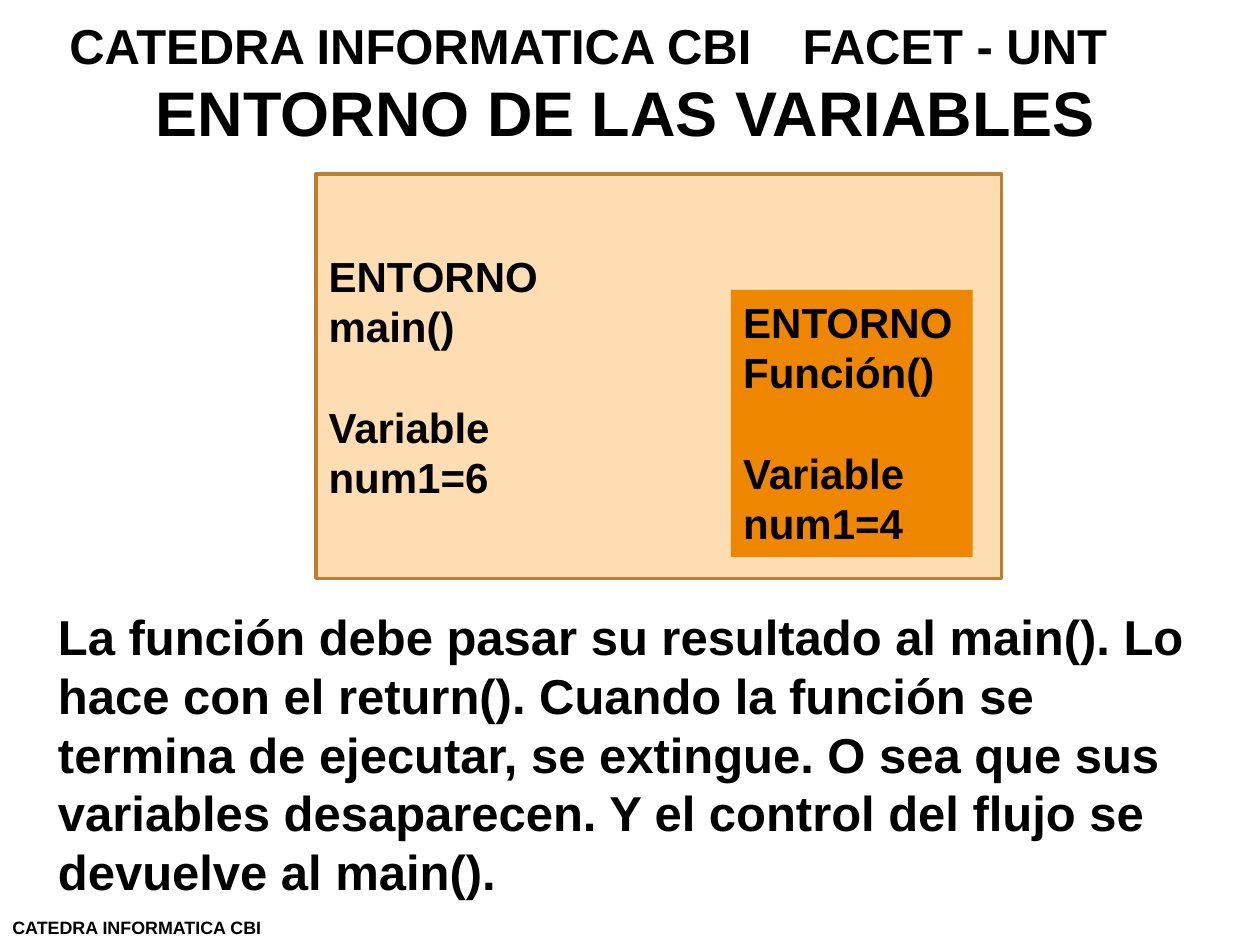
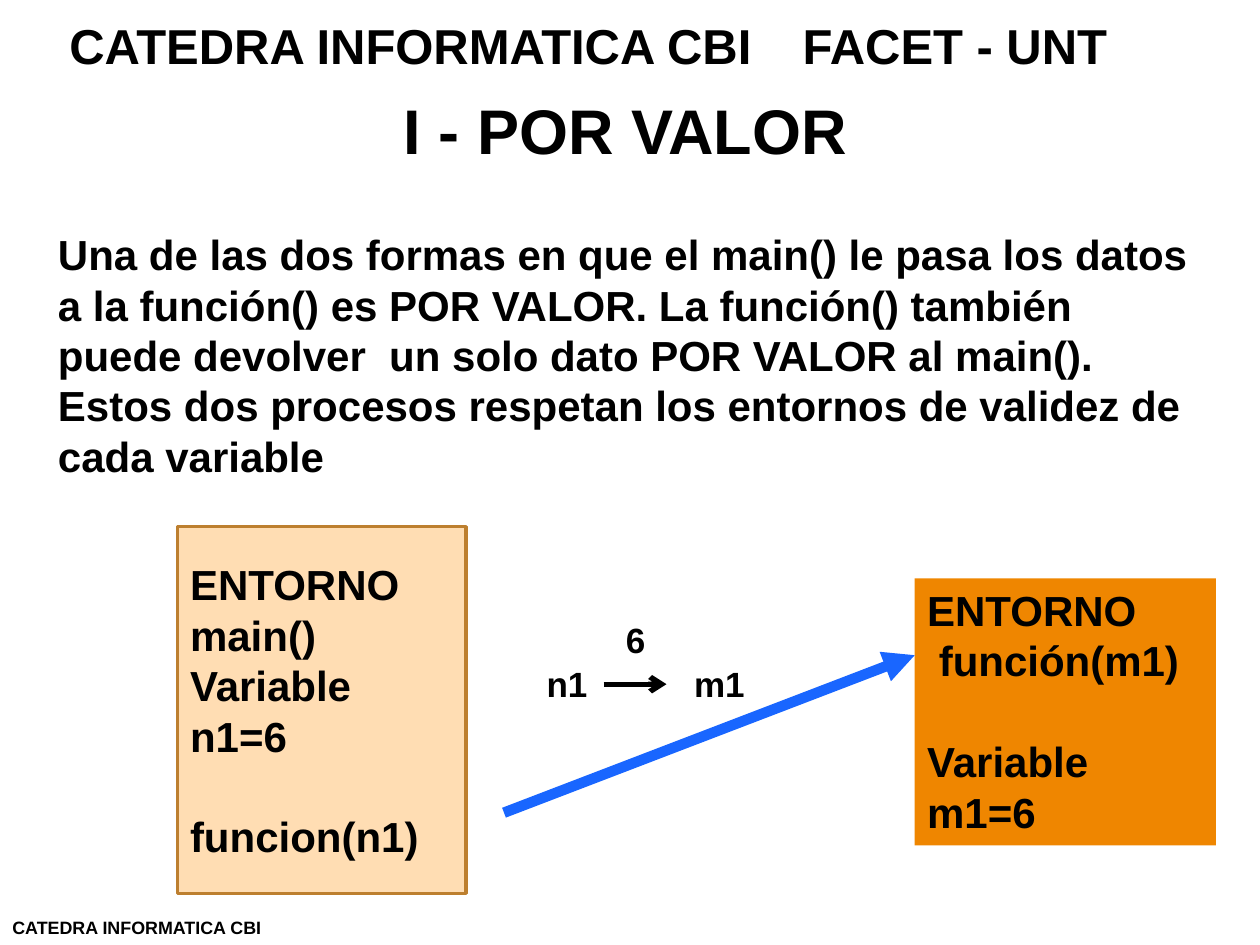
from dataclasses import dataclass

from lxml.etree import SubElement
from pptx import Presentation
from pptx.dml.color import RGBColor
from pptx.enum.shapes import MSO_CONNECTOR, MSO_SHAPE
from pptx.enum.text import MSO_ANCHOR, MSO_AUTO_SIZE, PP_ALIGN
from pptx.oxml.ns import qn
from pptx.presentation import Presentation as Deck
from pptx.shapes.autoshape import Shape
from pptx.slide import Slide
from pptx.util import Inches, Pt

CELL = 0.1
COLUMNS, ROWS = 100, 75
TITLE_AND_CONTENT = 1


@dataclass(frozen=True)
class Theme:
    font: str = "Arial"
    ink: str = "000000"
    main_fill: str = "FFDDB3"
    main_line: str = "BD7F2F"
    function_fill: str = "EF8600"
    call_arrow: str = "1966FF"
    title: float = 36
    large: float = 28
    body: float = 24
    label: float = 20
    footer: float = 10.2
    wide_inset: float = 1.2


THEME = Theme()


@dataclass(frozen=True)
class Frame:
    column: float
    row: float
    columns: float
    rows: float

    def lengths(self) -> tuple[int, int, int, int]:
        return grid(self.column), grid(self.row), grid(self.columns), grid(self.rows)


@dataclass(frozen=True)
class Scope:
    frame: Frame
    lines: tuple[str, ...]
    gap_before: int
    fill: str
    line: str | None = None
    anchor: MSO_ANCHOR = MSO_ANCHOR.TOP


@dataclass(frozen=True)
class Arrow:
    start: tuple[float, float]
    end: tuple[float, float]
    color: str
    width: float
    head: str


@dataclass(frozen=True)
class Label:
    frame: Frame
    text: str


@dataclass(frozen=True)
class Page:
    title: str
    title_row: float
    body: tuple[str, ...]
    body_frame: Frame
    body_size: float
    scopes: tuple[Scope, ...]
    arrows: tuple[Arrow, ...] = ()
    labels: tuple[Label, ...] = ()


HEADERS = (
    Label(Frame(4.3, 0, 58, 5.2), "CATEDRA INFORMATICA CBI"),
    Label(Frame(62.5, 0, 33.9, 5.2), "FACET - UNT"),
)

PAGES = (
    Page(
        title="ENTORNO DE LAS VARIABLES",
        title_row=5.3,
        body=(
            "La función debe pasar su resultado al main(). Lo hace con el return(). "
            "Cuando la función se termina de ejecutar, se extingue. O sea que sus "
            "variables desaparecen. Y el control del flujo se devuelve al main().",
        ),
        body_frame=Frame(3.4, 48.1, 93.2, 23.4),
        body_size=THEME.large,
        scopes=(
            Scope(Frame(25.1, 13.8, 54.4, 32.1),
                  ("ENTORNO", "main()", "Variable", "num1=6"), 2,
                  THEME.main_fill, THEME.main_line, MSO_ANCHOR.MIDDLE),
            Scope(Frame(58, 23, 19.2, 21.2),
                  ("ENTORNO", "Función()", "Variable", "num1=4"), 2,
                  THEME.function_fill),
        ),
    ),
    Page(
        title="I - POR VALOR",
        title_row=6.8,
        body=(
            "Una de las dos formas en que el main() le pasa los datos a la función() "
            "es POR VALOR. La función() también puede devolver  un solo dato POR "
            "VALOR al main().",
            "Estos dos procesos respetan los entornos de validez de cada variable",
        ),
        body_frame=Frame(3.4, 16.6, 93.2, 23.1),
        body_size=THEME.body,
        scopes=(
            Scope(Frame(14.1, 41.8, 22.9, 29.1),
                  ("ENTORNO", "main()", "Variable n1=6", "funcion(n1)"), 3,
                  THEME.main_fill, THEME.main_line, MSO_ANCHOR.MIDDLE),
            Scope(Frame(72.6, 45.9, 23.9, 21.2),
                  ("ENTORNO", " función(m1)", "Variable", "m1=6"), 2,
                  THEME.function_fill),
        ),
        arrows=(
            Arrow((40, 64.5), (72.6, 52), THEME.call_arrow, 6, "triangle"),
            Arrow((47.9, 54.3), (52.9, 54.3), THEME.ink, 3, "arrow"),
        ),
        labels=(
            Label(Frame(42.4, 52.1, 5.4, 4.4), "n1"),
            Label(Frame(54.1, 52.1, 8.1, 4.4), "m1"),
            Label(Frame(48.7, 48.6, 4.4, 4.4), "6"),
        ),
    ),
)


def grid(cells: float) -> int:
    return Inches(cells * CELL)


def place(shape: Shape, frame: Frame) -> None:
    shape.left, shape.top, shape.width, shape.height = frame.lengths()


def write(
    shape: Shape,
    *lines: str,
    size: float,
    align: PP_ALIGN = PP_ALIGN.LEFT,
    anchor: MSO_ANCHOR = MSO_ANCHOR.TOP,
    inset: tuple[float, float] = (1, 0.5),
    gap_before: int | None = None,
    space_before: float = 0,
    line_spacing: float = 1.0,
) -> None:
    text_frame = shape.text_frame
    text_frame.word_wrap = True
    text_frame.auto_size = MSO_AUTO_SIZE.NONE
    text_frame.vertical_anchor = anchor
    text_frame.margin_left = text_frame.margin_right = grid(inset[0])
    text_frame.margin_top = text_frame.margin_bottom = grid(inset[1])
    text_frame.text = "\n".join(lines)
    for index, paragraph in enumerate(text_frame.paragraphs):
        paragraph.alignment = align
        paragraph.line_spacing = line_spacing
        paragraph.space_before = Pt(size * 1.2 if index == gap_before else space_before)
        properties = paragraph._p.get_or_add_pPr()
        properties.set("marL", "0")
        properties.set("indent", "0")
        SubElement(properties, qn("a:buNone"))
        for run in paragraph.runs:
            run.font.name = THEME.font
            run.font.size = Pt(size)
            run.font.bold = True
            run.font.color.rgb = RGBColor.from_string(THEME.ink)


def add_text(slide: Slide, frame: Frame, text: str, **text_format) -> None:
    write(slide.shapes.add_textbox(*frame.lengths()), text, **text_format)


def add_scope(slide: Slide, scope: Scope) -> None:
    shape = slide.shapes.add_shape(MSO_SHAPE.RECTANGLE, *scope.frame.lengths())
    shape.shadow.inherit = False
    shape.fill.solid()
    shape.fill.fore_color.rgb = RGBColor.from_string(scope.fill)
    if scope.line:
        shape.line.color.rgb = RGBColor.from_string(scope.line)
        shape.line.width = Pt(2)
    else:
        shape.line.fill.background()
    write(shape, *scope.lines, size=THEME.body, anchor=scope.anchor,
          gap_before=scope.gap_before)


def add_arrow(slide: Slide, arrow: Arrow) -> None:
    points = [grid(value) for value in (*arrow.start, *arrow.end)]
    connector = slide.shapes.add_connector(MSO_CONNECTOR.STRAIGHT, *points)
    connector.line.color.rgb = RGBColor.from_string(arrow.color)
    connector.line.width = Pt(arrow.width)
    SubElement(connector.line._get_or_add_ln(), qn("a:tailEnd"), type=arrow.head)
    SubElement(connector._element.spPr, qn("a:effectLst"))


def add_header_and_footer(slide: Slide) -> None:
    for header in HEADERS:
        add_text(slide, header.frame, header.text, size=THEME.large,
                 inset=(THEME.wide_inset, THEME.wide_inset))
    add_text(slide, Frame(0, 72.6, 25.6, 2.4), "CATEDRA INFORMATICA CBI",
             size=THEME.footer, line_spacing=0.8, space_before=2)


def add_page(presentation: Deck, page: Page) -> None:
    slide = presentation.slides.add_slide(presentation.slide_layouts[TITLE_AND_CONTENT])
    title, body = slide.placeholders
    place(title, Frame(4.3, page.title_row, 90.7, 7.1))
    write(title, page.title, size=THEME.title, align=PP_ALIGN.CENTER)
    place(body, page.body_frame)
    write(body, *page.body, size=page.body_size, anchor=MSO_ANCHOR.MIDDLE,
          inset=(THEME.wide_inset, THEME.wide_inset))
    add_header_and_footer(slide)
    for scope in page.scopes:
        add_scope(slide, scope)
    for arrow in page.arrows:
        add_arrow(slide, arrow)
    for label in page.labels:
        add_text(slide, label.frame, label.text, size=THEME.label)


def main() -> None:
    presentation = Presentation()
    presentation.slide_width = grid(COLUMNS)
    presentation.slide_height = grid(ROWS)
    for page in PAGES:
        add_page(presentation, page)
    presentation.save("out.pptx")


if __name__ == "__main__":
    main()
